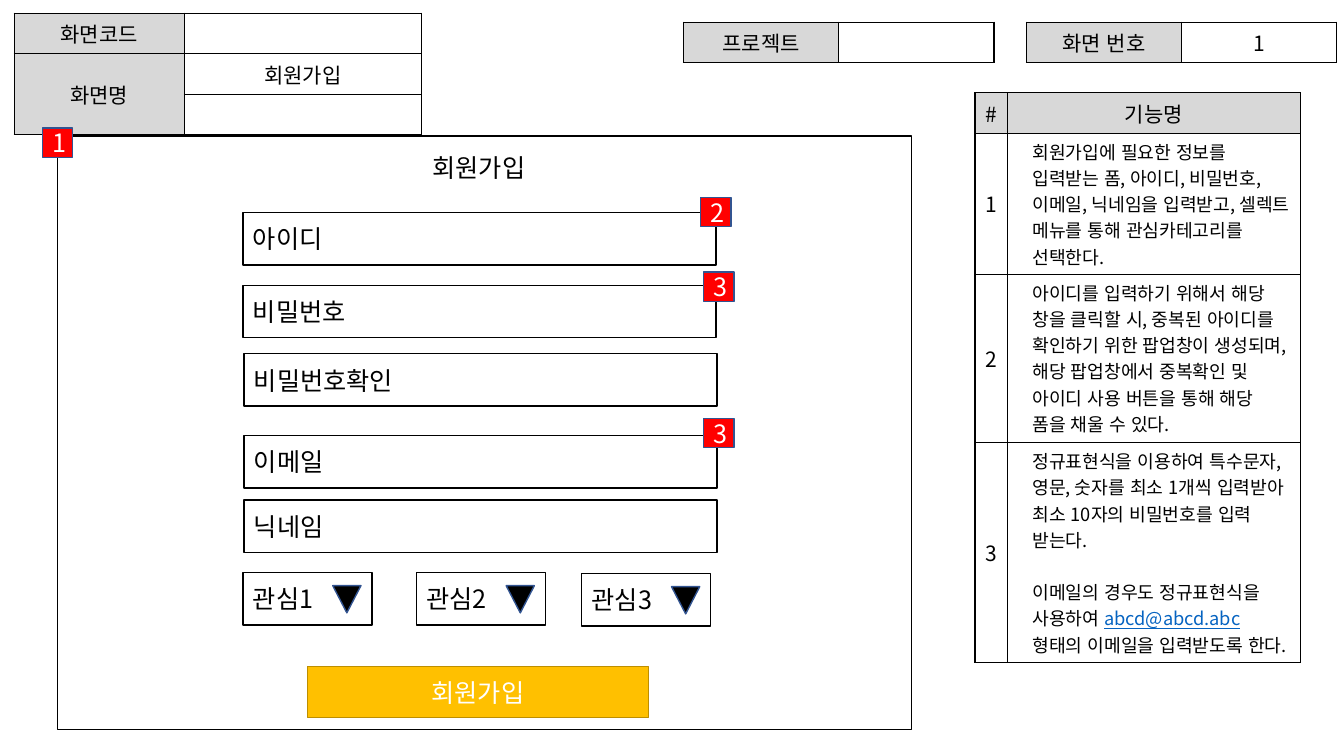
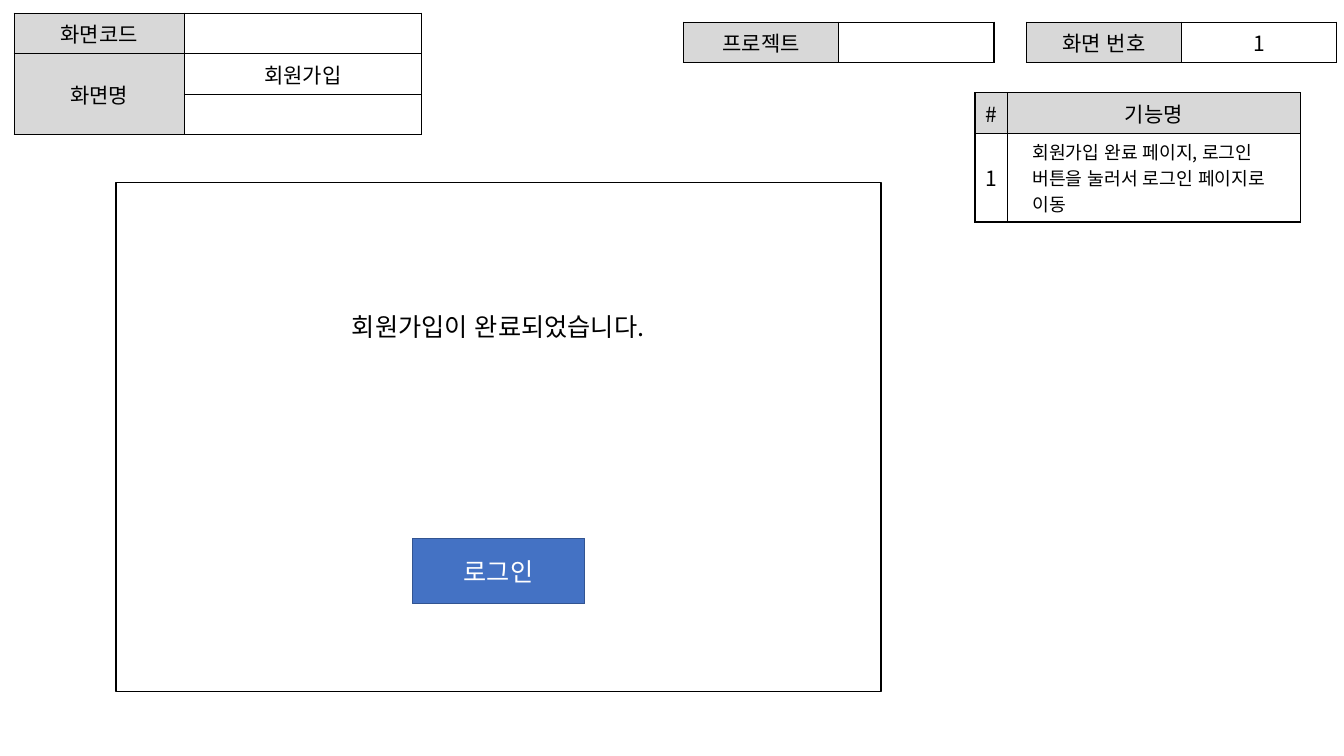
from dataclasses import dataclass
from typing import Optional

from lxml.etree import SubElement
from pptx import Presentation
from pptx.dml.color import RGBColor
from pptx.enum.lang import MSO_LANGUAGE_ID
from pptx.enum.shapes import MSO_SHAPE
from pptx.enum.text import MSO_ANCHOR, MSO_AUTO_SIZE, PP_ALIGN
from pptx.oxml import parse_xml
from pptx.oxml.ns import nsdecls, qn
from pptx.util import Inches, Pt

BLACK = RGBColor(0x00, 0x00, 0x00)
WHITE = RGBColor(0xFF, 0xFF, 0xFF)
GRAY = RGBColor(0xD8, 0xD8, 0xD8)
RED = RGBColor(0xFF, 0x00, 0x00)
GOLD = RGBColor(0xFF, 0xC0, 0x00)
BROWN = RGBColor(0xBD, 0x8E, 0x00)
BLUE = RGBColor(0x44, 0x72, 0xC4)
NAVY = RGBColor(0x32, 0x54, 0x91)
LINK = RGBColor(0x05, 0x63, 0xC1)

FONT = "Noto Sans CJK KR"
MAIL = "abcd@abcd.abc"
LABEL = 15
NOTE = 13
BODY = 18
ROW = 0.4


@dataclass(frozen=True)
class Area:
    left: float
    top: float
    width: float
    height: float

    def emu(self) -> tuple:
        return tuple(Inches(v) for v in (self.left, self.top, self.width, self.height))


@dataclass(frozen=True)
class Box:
    area: Area
    text: str = ""
    fill: Optional[RGBColor] = None
    line: RGBColor = BLACK
    ink: RGBColor = BLACK
    align: PP_ALIGN = PP_ALIGN.LEFT
    shape: MSO_SHAPE = MSO_SHAPE.RECTANGLE
    turn: int = 0


@dataclass(frozen=True)
class Note:
    text: str
    height: float


def style(run, size: int, ink: RGBColor) -> None:
    font = run.font
    font.name, font.size, font.bold = FONT, Pt(size), False
    font.language_id = MSO_LANGUAGE_ID.KOREAN
    font.color.rgb = ink
    SubElement(font._element, qn("a:ea"), typeface=FONT)


def write(frame, text: str, size: int, ink: RGBColor, align: PP_ALIGN) -> None:
    frame.text = text
    for para in frame.paragraphs:
        para.alignment = align
        for run in para.runs:
            style(run, size, ink)
        if not para.runs:
            para._p.get_or_add_endParaRPr().set("sz", str(size * 100))


def draw(slide, box: Box) -> None:
    shape = slide.shapes.add_shape(box.shape, *box.area.emu())
    shape.shadow.inherit = False
    shape.rotation = box.turn
    if box.fill is None:
        shape.fill.background()
    else:
        shape.fill.solid()
        shape.fill.fore_color.rgb = box.fill
    shape.line.color.rgb = box.line
    shape.line.width = Pt(1)
    if box.text:
        frame = shape.text_frame
        frame.vertical_anchor = MSO_ANCHOR.MIDDLE
        write(frame, box.text, BODY, box.ink, box.align)


def paint(cell, fill: RGBColor) -> None:
    cell.fill.solid()
    cell.fill.fore_color.rgb = fill
    props = cell._tc.get_or_add_tcPr()
    for spot, side in enumerate("LRTB"):
        props.insert(spot, parse_xml(
            f'<a:ln{side} {nsdecls("a")} w="12700"><a:solidFill>'
            f'<a:srgbClr val="{BLACK}"/></a:solidFill></a:ln{side}>'))


def add_grid(slide, left: float, top: float, cols: list[float],
             rows: list[float], texts: list[list[str]], gray: set):
    area = Area(left, top, sum(cols), sum(rows))
    grid = slide.shapes.add_table(len(rows), len(cols), *area.emu()).table
    grid.first_row = grid.horz_banding = False
    for col, width in zip(grid.columns, cols):
        col.width = Inches(width)
    for row, height in zip(grid.rows, rows):
        row.height = Inches(height)
    for r, line in enumerate(texts):
        for c, text in enumerate(line):
            cell = grid.cell(r, c)
            cell.vertical_anchor = MSO_ANCHOR.MIDDLE
            write(cell.text_frame, text, LABEL, BLACK, PP_ALIGN.CENTER)
            paint(cell, GRAY if (r, c) in gray else WHITE)
    return grid


def add_notes(slide, notes: list[Note]) -> None:
    texts = [["#", "기능명"]] + [[str(i), ""] for i in range(1, len(notes) + 1)]
    rows = [ROW] + [note.height for note in notes]
    grid = add_grid(slide, 9.67, 0.92, [0.32, 2.91], rows, texts, {(0, 0), (0, 1)})
    for r, note in enumerate(notes, 1):
        cell = grid.cell(r, 1)
        cell.vertical_anchor = MSO_ANCHOR.TOP
        frame = cell.text_frame
        frame.text = note.text
        for i, para in enumerate(frame.paragraphs):
            para.alignment = PP_ALIGN.LEFT
            para._p.get_or_add_pPr().set("marL", str(Inches(0.15)))
            if i:
                para.space_before = Pt(18.8)
            head, mail, tail = para.text.partition(MAIL)
            para.text = head
            for part in filter(None, (mail, tail)):
                para.add_run().text = part
            for run in para.runs:
                is_mail = run.text == MAIL
                style(run, NOTE, LINK if is_mail else BLACK)
                run.font.underline = is_mail


def add_page(deck, title: str, area: Area, align: PP_ALIGN, notes: list[Note]):
    slide = deck.slides.add_slide(deck.slide_layouts[5])
    head = slide.shapes.title
    head.left, head.top, head.width, head.height = area.emu()
    frame = head.text_frame
    frame.word_wrap = True
    frame.auto_size = MSO_AUTO_SIZE.NONE
    frame.vertical_anchor = MSO_ANCHOR.TOP
    write(frame, title, BODY, BLACK, align)

    texts = [["화면코드", ""], ["화면명", "회원가입"], ["", ""]]
    grid = add_grid(slide, 0.14, 0.13, [1.69, 2.35], [ROW] * 3, texts,
                    {(0, 0), (1, 0), (2, 0)})
    grid.cell(1, 0).merge(grid.cell(2, 0))
    for left, pair in ((10.18, ["화면 번호", "1"]), (6.78, ["프로젝트", ""])):
        add_grid(slide, left, 0.22, [1.54, 1.54], [ROW], [pair], {(0, 0)})
    add_notes(slide, notes)
    return slide


def button(area: Area, text: str, fill: RGBColor, line: RGBColor) -> Box:
    return Box(area, text, fill, line, WHITE, PP_ALIGN.CENTER)


def add_form(deck) -> None:
    notes = [
        Note("회원가입에 필요한 정보를 입력받는 폼, 아이디, 비밀번호, 이메일, "
             "닉네임을 입력받고, 셀렉트 메뉴를 통해 관심카테고리를 선택한다.", 1.39),
        Note("아이디를 입력하기 위해서 해당 창을 클릭할 시, 중복된 아이디를 "
             "확인하기 위한 팝업창이 생성되며, 해당 팝업창에서 중복확인 및 "
             "아이디 사용 버튼을 통해 해당 폼을 채울 수 있다.", 1.67),
        Note("정규표현식을 이용하여 특수문자, 영문, 숫자를 최소 1개씩 입력받아 "
             "최소 10자의 비밀번호를 입력 받는다.\n"
             f"이메일의 경우도 정규표현식을 사용하여 {MAIL} "
             "형태의 이메일을 입력받도록 한다.", 2.17),
    ]
    slide = add_page(deck, "회원가입", Area(4.19, 1.46, 1.3, 0.4),
                     PP_ALIGN.LEFT, notes)
    draw(slide, Box(Area(0.57, 1.35, 8.47, 5.89)))
    fields = [(2.41, 2.11, "아이디"), (2.41, 2.83, "비밀번호"),
              (2.42, 3.51, "비밀번호확인"), (2.42, 4.32, "이메일"),
              (2.42, 4.96, "닉네임")]
    for left, top, text in fields:
        draw(slide, Box(Area(left, top, 4.69, 0.52), text))
    for i, (left, top) in enumerate([(2.41, 5.68), (4.13, 5.68), (5.77, 5.69)], 1):
        draw(slide, Box(Area(left, top, 1.28, 0.52), f"관심{i}"))
        draw(slide, Box(Area(left + 0.89, top + 0.13, 0.28, 0.27), fill=BLACK,
                        line=NAVY, shape=MSO_SHAPE.ISOSCELES_TRIANGLE, turn=180))
    draw(slide, button(Area(3.05, 6.61, 3.38, 0.51), "회원가입", GOLD, BROWN))
    for left, top, mark in [(0.42, 1.27, "1"), (6.95, 1.96, "2"),
                            (6.98, 2.7, "3"), (6.98, 4.15, "3")]:
        draw(slide, button(Area(left, top, 0.3, 0.29), mark, RED, NAVY))


def add_done(deck) -> None:
    notes = [Note("회원가입 완료 페이지, 로그인 버튼을 눌러서 로그인 페이지로 이동", 0.88)]
    slide = add_page(deck, "회원가입이 완료되었습니다.", Area(2.72, 3.04, 4.44, 0.4),
                     PP_ALIGN.CENTER, notes)
    draw(slide, Box(Area(1.15, 1.81, 7.59, 5.05)))
    draw(slide, button(Area(4.09, 5.34, 1.71, 0.65), "로그인", BLUE, NAVY))


def main() -> None:
    deck = Presentation()
    deck.slide_width, deck.slide_height = Inches(13.33), Inches(7.5)
    add_form(deck)
    add_done(deck)
    deck.save("out.pptx")


if __name__ == "__main__":
    main()
